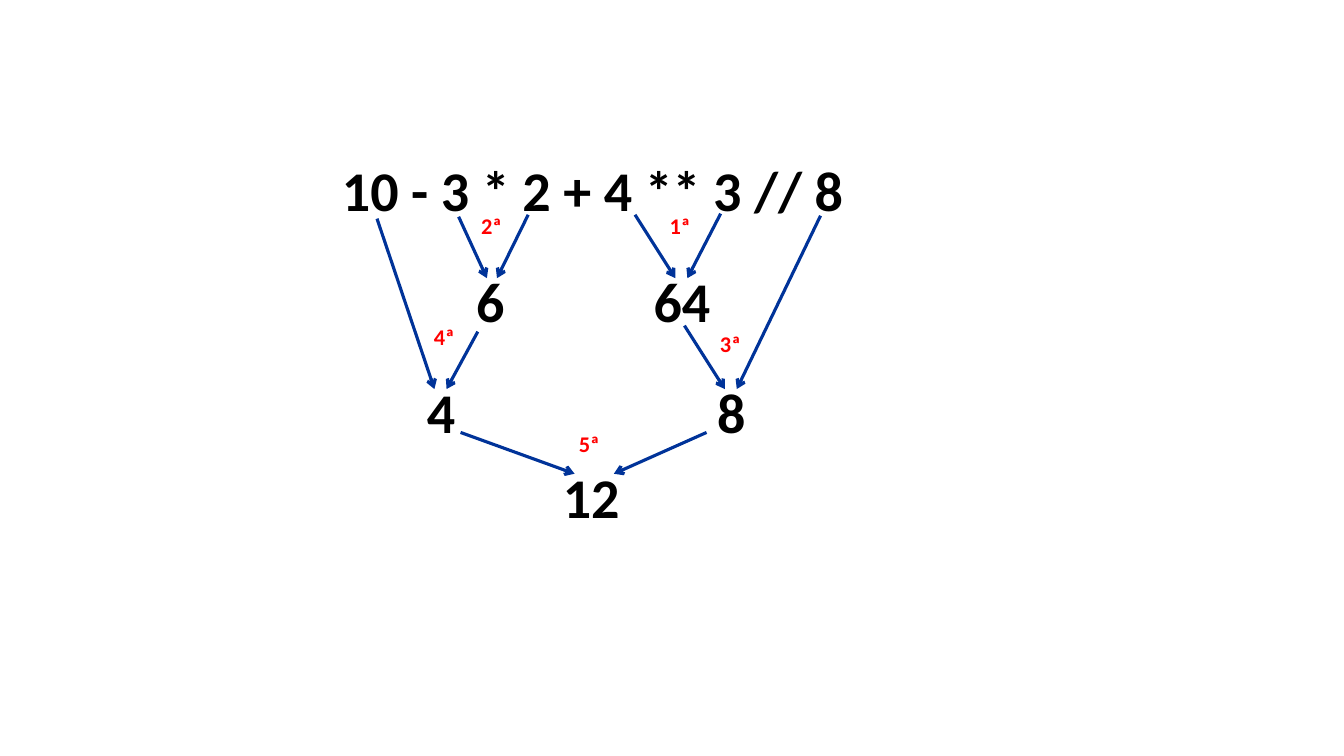
from dataclasses import dataclass
from lxml import etree
from pptx import Presentation, util as u
from pptx.dml.color import RGBColor
from pptx.enum import shapes, text
from pptx.oxml.ns import qn


@dataclass(frozen=True)
class Theme:
    font: str = "Calibri"
    ink: str = "000000"
    accent: str = "FF0000"
    arrow: str = "003399"
    number_size: float = 40
    label_size: float = 16
    arrow_width: float = 2.25


class Diagram:
    number_height = 55.4
    label_height = 26.6
    tip_drop = 11.5

    def __init__(self, prs, theme):
        self.theme = theme
        self.s = prs.slides.add_slide(prs.slide_layouts[5])

    def format_text(self, sp, content, size, color):
        tf = sp.text_frame
        frame_format = {
            "word_wrap": False,
            "auto_size": text.MSO_AUTO_SIZE.SHAPE_TO_FIT_TEXT,
            "vertical_anchor": text.MSO_ANCHOR.TOP,
        }
        for name, value in frame_format.items():
            setattr(tf, name, value)
        p = tf.paragraphs[0]
        p.alignment = text.PP_ALIGN.CENTER
        r = p.add_run()
        r.text = content
        font_format = {"name": self.theme.font, "size": u.Pt(size), "bold": True}
        for name, value in font_format.items():
            setattr(r.font, name, value)
        r.font.color.rgb = RGBColor.from_string(color)

    def title(self, content, center, top, width):
        sp = self.s.shapes.title
        box = {"left": center - width / 2, "top": top,
               "width": width, "height": self.number_height}
        for name, value in box.items():
            setattr(sp, name, u.Pt(value))
        self.format_text(sp, content, self.theme.number_size, self.theme.ink)

    def text_box(self, content, center, top, width, height, size, color):
        box = (center - width / 2, top, width, height)
        sp = self.s.shapes.add_textbox(*map(u.Pt, box))
        self.format_text(sp, content, size, color)

    def number(self, content, center, top):
        width = 15 + 20.2 * len(content)
        self.text_box(content, center, top, width, self.number_height,
                      self.theme.number_size, self.theme.ink)

    def label(self, content, center, top):
        self.text_box(content, center, top, 29.5, self.label_height,
                      self.theme.label_size, self.theme.accent)

    def arrow(self, x1, y1, x2, y2):
        ends = map(u.Pt, (x1, y1, x2, y2))
        sp = self.s.shapes.add_connector(shapes.MSO_CONNECTOR.STRAIGHT, *ends)
        sp.line.width = u.Pt(self.theme.arrow_width)
        sp.line.color.rgb = RGBColor.from_string(self.theme.arrow)
        etree.SubElement(sp.line._get_or_add_ln(), qn("a:tailEnd"), type="arrow")
        etree.SubElement(sp._element.spPr, qn("a:effectLst"))

    def step(self, order, label_at, result, result_at, arrows):
        tip_y = result_at[1] + self.tip_drop
        for x, y, tip_x in arrows:
            self.arrow(x, y, tip_x, tip_y)
        self.number(result, *result_at)
        self.label(f"{order}ª", *label_at)


STEPS = [
    ((485.6, 148.3), "64", (487.1, 187.2),
     [(453.6, 153.4, 482.4), (514.8, 152.6, 491)]),
    ((351, 148.3), "6", (350.3, 187.2),
     [(327.6, 154.8, 347.8), (377.3, 153.4, 355)]),
    ((521.6, 232.6), "8", (522.4, 266.4),
     [(488.9, 232.6, 517.7), (586.1, 154.1, 526.3)]),
    ((317.2, 227.5), "4", (315, 266.4),
     [(269.3, 156.2, 310.3), (341.3, 236.9, 319)]),
    ((420.8, 303.8), "12", (422.3, 326.9),
     [(329, 308.9, 410.4), (504.7, 308.9, 438.5)]),
]


def main():
    prs = Presentation()
    prs.slide_width, prs.slide_height = u.Pt(960), u.Pt(540)
    diagram = Diagram(prs, Theme())
    diagram.title("10 - 3 * 2 + 4 ** 3 // 8", 423.4, 107.3, 375.8)
    for order, step in enumerate(STEPS, 1):
        diagram.step(order, *step)
    prs.save("out.pptx")


if __name__ == "__main__":
    main()
